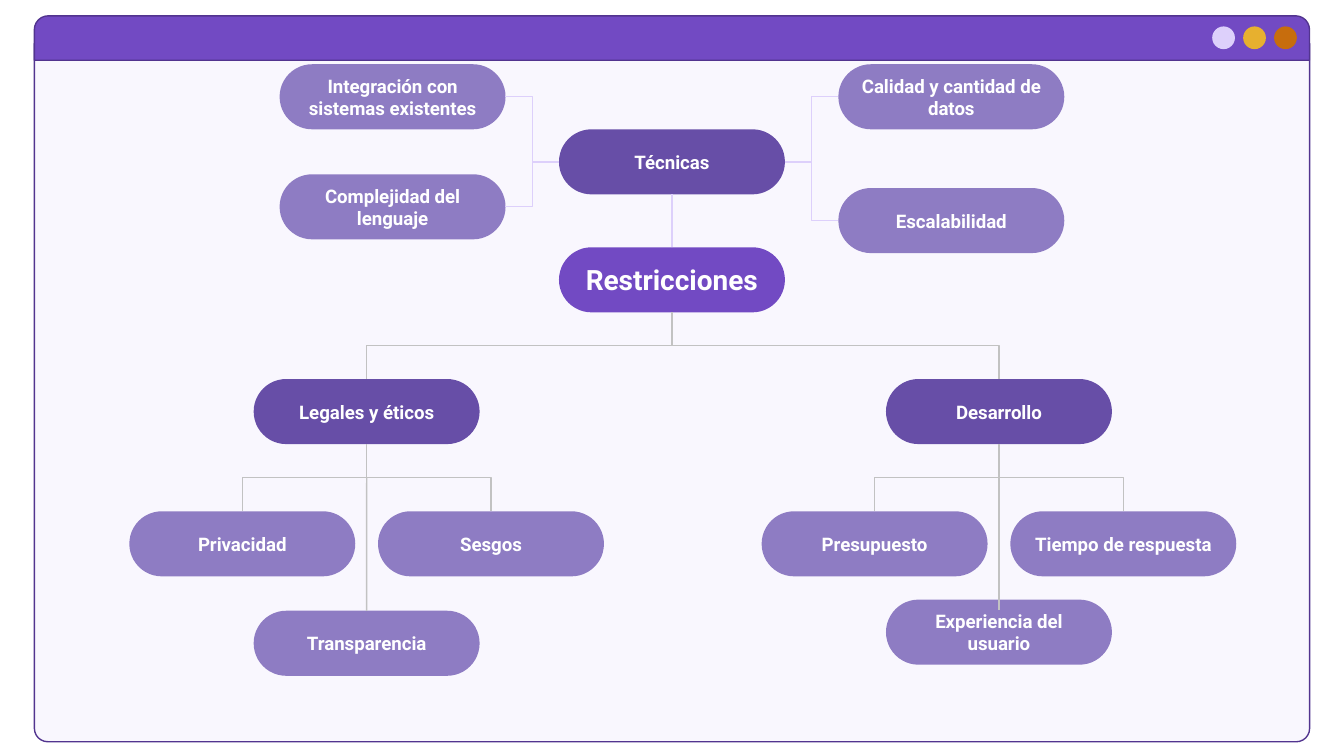
from lxml.etree import SubElement
from pptx import Presentation
from pptx.dml.color import RGBColor
from pptx.enum.shapes import MSO_CONNECTOR as Line, MSO_SHAPE as Shape
from pptx.enum.text import MSO_ANCHOR, PP_ALIGN
from pptx.oxml.ns import qn
from pptx.util import Cm, Pt

FONT = "Roboto"
VIOLET, DARK, SOFT = "724AC3", "674EA7", "8E7CC3"
BORDER, LILAC, GREY, WHITE = "52348F", "DDD0FB", "C2C2C2", "FFFFFF"
TOP, LEFT, BOTTOM, RIGHT = range(4)

PILL_WIDTH, PILL_HEIGHT = 4.27, 1.23
CENTER, SIDE, BRANCH = 12.7, 5.28, 2.35
LEGAL, DEVELOPMENT = 6.93, 18.88
BRANCH_ROW, LEAF_ROW = 7.78, 10.28
JOINT = (BRANCH_ROW + LEAF_ROW) / 2
TRUNK_END = 11.53

PILLS = [
    ("Restricciones", CENTER, 5.29, VIOLET, 15),
    ("Técnicas", CENTER, 3.06, DARK, 10),
    ("Legales y éticos", LEGAL, BRANCH_ROW, DARK, 10),
    ("Desarrollo", DEVELOPMENT, BRANCH_ROW, DARK, 10),
    ("Integración con sistemas existentes", CENTER - SIDE, 1.83, SOFT, 10),
    ("Complejidad del lenguaje", CENTER - SIDE, 3.91, SOFT, 10),
    ("Calidad y cantidad de datos", CENTER + SIDE, 1.83, SOFT, 10),
    ("Escalabilidad", CENTER + SIDE, 4.17, SOFT, 10),
    ("Privacidad", LEGAL - BRANCH, LEAF_ROW, SOFT, 10),
    ("Sesgos", LEGAL + BRANCH, LEAF_ROW, SOFT, 10),
    ("Transparencia", LEGAL, 12.16, SOFT, 10),
    ("Presupuesto", DEVELOPMENT - BRANCH, LEAF_ROW, SOFT, 10),
    ("Tiempo de respuesta", DEVELOPMENT + BRANCH, LEAF_ROW, SOFT, 10),
    ("Experiencia del usuario", DEVELOPMENT, 11.95, SOFT, 10),
]
SIDE_LINKS = [
    ("Integración con sistemas existentes", LEFT),
    ("Complejidad del lenguaje", LEFT),
    ("Calidad y cantidad de datos", RIGHT),
    ("Escalabilidad", RIGHT),
]
DOWN_LINKS = [
    ("Restricciones", "Legales y éticos"),
    ("Restricciones", "Desarrollo"),
    ("Legales y éticos", "Privacidad"),
    ("Legales y éticos", "Sesgos"),
    ("Desarrollo", "Presupuesto"),
    ("Desarrollo", "Tiempo de respuesta"),
]
BUTTONS = [LILAC, "E7B02F", "C76D0D"]


def color(value):
    return RGBColor.from_string(value)


def add_filled(kind, left, top, width, height, fill, border=None):
    shape = slide.shapes.add_shape(kind, Cm(left), Cm(top), Cm(width), Cm(height))
    shape.shadow.inherit = False
    shape.fill.solid()
    shape.fill.fore_color.rgb = color(fill)
    if border:
        shape.line.color.rgb = color(border)
        shape.line.width = Pt(0.75)
    else:
        shape.line.fill.background()
    return shape


def add_window():
    panel = add_filled(Shape.ROUND_2_SAME_RECTANGLE, 0.65, 0.82, 24.1, 13.2, LILAC, BORDER)
    panel.adjustments[0] = 0.019
    panel.rotation = 180
    tint = panel.fill._xPr.find(qn("a:solidFill"))[0]
    SubElement(tint, qn("a:alpha")).set("val", "15000")
    bar = add_filled(Shape.ROUND_2_SAME_RECTANGLE, 0.65, 0.3, 24.1, 0.84, VIOLET, BORDER)
    bar.adjustments[0] = 0.312
    for index, fill in enumerate(BUTTONS):
        add_filled(Shape.OVAL, 22.91 + 0.585 * index, 0.5, 0.43, 0.43, fill)


def add_pill(text, center_x, center_y, fill, size):
    pill = add_filled(
        Shape.ROUNDED_RECTANGLE, center_x - PILL_WIDTH / 2, center_y - PILL_HEIGHT / 2,
        PILL_WIDTH, PILL_HEIGHT, fill)
    pill.adjustments[0] = 0.5
    frame = pill.text_frame
    frame.word_wrap = True
    frame.vertical_anchor = MSO_ANCHOR.MIDDLE
    frame.margin_left = frame.margin_right = Cm(0.25)
    frame.margin_top = frame.margin_bottom = Cm(0.25)
    paragraph = frame.paragraphs[0]
    paragraph.alignment = PP_ALIGN.CENTER
    run = paragraph.add_run()
    run.text = text
    run.font.name = FONT
    run.font.size = Pt(size)
    run.font.bold = True
    run.font.color.rgb = color(WHITE)
    return pill


def add_line(kind, stroke, start=(0, 0), end=(0, 0)):
    points = [Cm(value) for value in (*start, *end)]
    connector = slide.shapes.add_connector(kind, *points)
    connector.line.color.rgb = color(stroke)
    connector.line.width = Pt(0.75)
    SubElement(connector._element.spPr, qn("a:effectLst"))
    return connector


def link_down(parent, child):
    connector = add_line(Line.ELBOW, GREY)
    connector.begin_connect(parent, BOTTOM)
    connector.end_connect(child, TOP)
    goes_right = child.left > parent.left
    left, top = connector.left, connector.top
    width, height = connector.width, connector.height
    connector.left = left + (width - height) // 2
    connector.top = top + (height - width) // 2
    connector.width, connector.height = height, width
    frame = connector._element.spPr.find(qn("a:xfrm"))
    frame.set("rot", "16200000" if goes_right else "5400000")
    frame.set("flipH", "1" if goes_right else "0")
    frame.set("flipV", "0")


presentation = Presentation()
presentation.slide_width, presentation.slide_height = Cm(25.4), Cm(14.29)
slide = presentation.slides.add_slide(presentation.slide_layouts[6])

add_window()
pills = {pill[0]: add_pill(*pill) for pill in PILLS}

for parent, child in DOWN_LINKS:
    link_down(pills[parent], pills[child])

for child, side in SIDE_LINKS:
    connector = add_line(Line.ELBOW, LILAC)
    connector.begin_connect(pills["Técnicas"], side)
    connector.end_connect(pills[child], RIGHT if side == LEFT else LEFT)

stem = add_line(Line.STRAIGHT, LILAC)
stem.begin_connect(pills["Restricciones"], TOP)
stem.end_connect(pills["Técnicas"], BOTTOM)

trunk = add_line(Line.STRAIGHT, GREY, (LEGAL, JOINT), (LEGAL, TRUNK_END))
trunk.end_connect(pills["Transparencia"], TOP)
add_line(Line.STRAIGHT, GREY, (DEVELOPMENT, JOINT), (DEVELOPMENT, TRUNK_END))

presentation.save("out.pptx")
